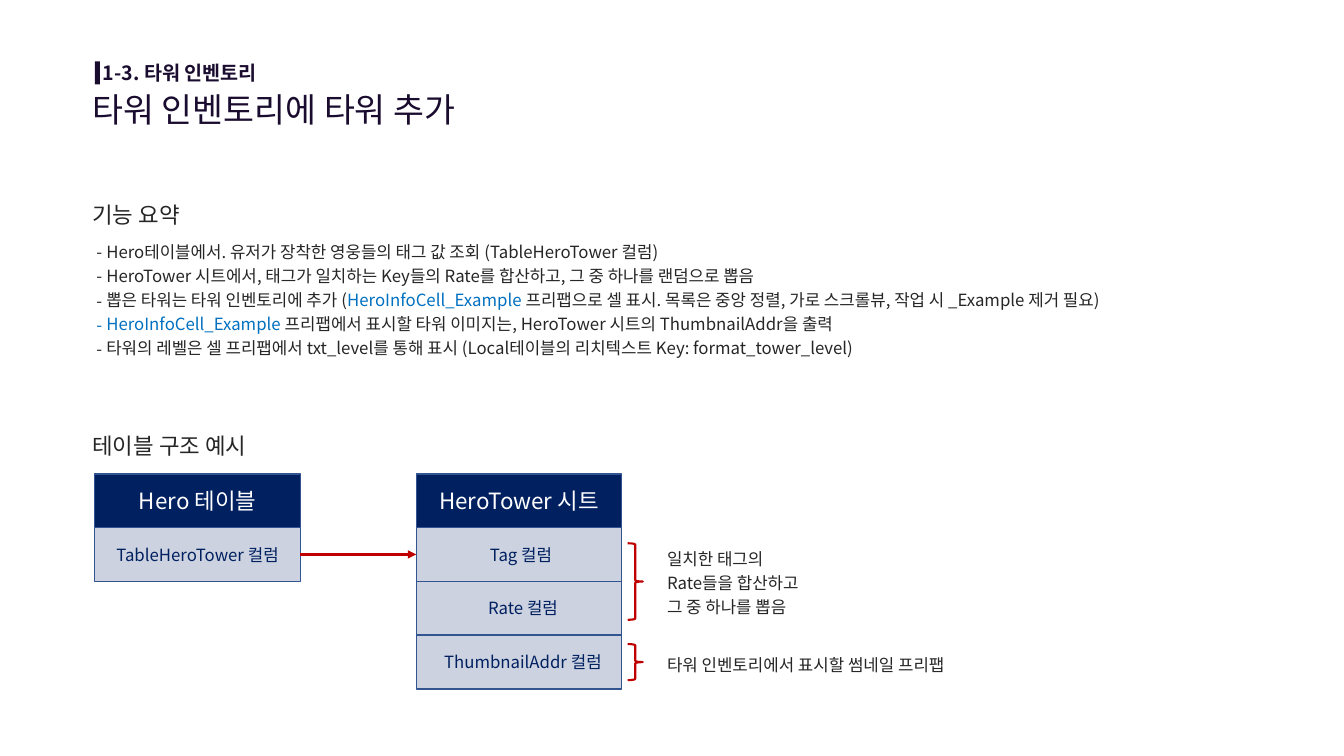
from lxml import etree
from pptx import Presentation
from pptx import util as u
from pptx.dml.color import RGBColor
from pptx.enum import shapes, text
from pptx.oxml.ns import qn

FONT = "Noto Sans CJK KR"
PURPLE, GRAY, BLUE = "1A0C2F", "262626", "0070C0"
NAVY, EDGE, RED, WHITE = "002060", "325491", "C00000", "FFFFFF"


def color(target, value):
    target.rgb = RGBColor.from_string(value)


def write(paragraph, pieces, size, bold=False):
    for words, shade in pieces:
        run = paragraph.add_run()
        run.text = words
        for key, value in {"name": FONT, "size": u.Pt(size), "bold": bold}.items():
            setattr(run.font, key, value)
        color(run.font.color, shade)
        etree.SubElement(run.font._element, qn("a:ea"), typeface=FONT)


prs = Presentation()
prs.slide_width, prs.slide_height = u.Cm(33.87), u.Cm(19.05)
slide = prs.slides.add_slide(prs.slide_layouts[5])
fitted = {
    "word_wrap": False,
    "auto_size": text.MSO_AUTO_SIZE.SHAPE_TO_FIT_TEXT,
    "vertical_anchor": text.MSO_ANCHOR.TOP,
}

accent = slide.shapes.add_shape(
    shapes.MSO_SHAPE.RECTANGLE, u.Cm(2.39), u.Cm(1.55), u.Cm(0.13), u.Cm(0.58))
accent.shadow.inherit = False
accent.fill.solid()
color(accent.fill.fore_color, PURPLE)
accent.line.fill.background()

title = slide.shapes.title
place = {"left": 2.08, "top": 2.11, "width": 10.29, "height": 1.27}
for key, value in place.items():
    setattr(title, key, u.Cm(value))
for key, value in fitted.items():
    setattr(title.text_frame, key, value)
headline = title.text_frame.paragraphs[0]
headline.alignment = text.PP_ALIGN.LEFT
write(headline, [("타워 인벤토리에 타워 추가", PURPLE)], 24)

summary = [
    [("Hero테이블에서. 유저가 장착한 영웅들의 태그 값 조회 (TableHeroTower 컬럼)", GRAY)],
    [("HeroTower 시트에서, 태그가 일치하는 Key들의 Rate를 합산하고, 그 중 하나를 랜덤으로 뽑음", GRAY)],
    [("뽑은 타워는 타워 인벤토리에 추가 (", GRAY), ("HeroInfoCell_Example ", BLUE),
     ("프리팹으로 셀 표시. 목록은 중앙 정렬, 가로 스크롤뷰, 작업 시 _Example 제거 필요)", GRAY)],
    [("HeroInfoCell_Example ", BLUE),
     ("프리팹에서 표시할 타워 이미지는, HeroTower 시트의 ThumbnailAddr을 출력", GRAY)],
    [("타워의 레벨은 셀 프리팹에서 txt_level를 통해 표시 "
      "(Local테이블의 리치텍스트 Key: format_tower_level)", GRAY)],
]
tag_note = [[(line, GRAY)] for line in ("일치한 태그의", "Rate들을 합산하고", "그 중 하나를 뽑음")]
thumbnail_note = [[("타워 인벤토리에서 표시할 썸네일 프리팹", GRAY)]]

passages = [
    (2.34, 1.42, 4.85, 0.86, [[("1-3. 타워 인벤토리", PURPLE)]], 14, True, 1.0),
    (2.08, 4.8, 27.43, 4.32, [[("기능 요약", GRAY)]] + summary, 12, False, 1.2),
    (2.08, 10.64, 4.67, 1.02, [[("테이블 구조 예시", GRAY)]], 16, False, 1.2),
    (16.56, 13.59, 4.01, 2.06, tag_note, 12, False, 1.2),
    (16.56, 16.28, 7.98, 0.81, thumbnail_note, 12, False, 1.2),
]
for left, top, width, height, lines, size, bold, spacing in passages:
    frame = slide.shapes.add_textbox(
        u.Cm(left), u.Cm(top), u.Cm(width), u.Cm(height)).text_frame
    for key, value in fitted.items():
        setattr(frame, key, value)
    for index, pieces in enumerate(lines):
        paragraph = frame.add_paragraph() if index else frame.paragraphs[0]
        paragraph.line_spacing = spacing
        heading = pieces[0][0] == "기능 요약"
        write(paragraph, pieces, 16 if heading else size, bold)
        if heading:
            paragraph.space_after = u.Pt(7)
        elif pieces in summary:
            props = paragraph._p.get_or_add_pPr()
            props.set("marL", str(u.Cm(0.35)))
            props.set("indent", str(-u.Cm(0.25)))
            etree.SubElement(props, qn("a:buFont"), typeface=FONT)
            etree.SubElement(props, qn("a:buChar"), char="-")

ROW, TABLE_TOP = 1.355, 11.94
tables = [
    (2.39, [("Hero 테이블", 0), ("TableHeroTower 컬럼", 0)]),
    (10.49, [("HeroTower 시트", 0), ("Tag 컬럼", 0.1), ("Rate 컬럼", 0.2),
             ("ThumbnailAddr 컬럼", 0.2)]),
]
columns = {}
for left, rows in tables:
    for index, (label, shift) in enumerate(rows):
        cell = slide.shapes.add_shape(
            shapes.MSO_SHAPE.ROUNDED_RECTANGLE, u.Cm(left),
            u.Cm(TABLE_TOP + index * ROW), u.Cm(5.18), u.Cm(ROW))
        cell.adjustments[0] = 0
        cell.shadow.inherit = False
        cell.fill.solid()
        color(cell.fill.fore_color, NAVY)
        color(cell.line.color, EDGE)
        cell.line.width = u.Pt(1)
        if index:
            navy = cell.fill._xPr.find(qn("a:solidFill"))[0]
            etree.SubElement(navy, qn("a:alpha"), val="20000")
        centred = {"word_wrap": False, "vertical_anchor": text.MSO_ANCHOR.MIDDLE,
                   "margin_left": u.Cm(0.25 + shift)}
        for key, value in centred.items():
            setattr(cell.text_frame, key, value)
        paragraph = cell.text_frame.paragraphs[0]
        paragraph.alignment = text.PP_ALIGN.CENTER
        write(paragraph, [(label, NAVY if index else WHITE)], 12 if index else 16)
        columns[label] = cell

lookup = slide.shapes.add_connector(shapes.MSO_CONNECTOR.STRAIGHT, 0, 0, 0, 0)
lookup.begin_connect(columns["TableHeroTower 컬럼"], 3)
lookup.end_connect(columns["Tag 컬럼"], 1)
color(lookup.line.color, RED)
lookup.line.width = u.Pt(1.5)
etree.SubElement(lookup.line._get_or_add_ln(), qn("a:tailEnd"), type="triangle")
etree.SubElement(lookup._element.spPr, qn("a:effectLst"))

for top, height in [(13.69, 1.93), (16.23, 0.91)]:
    brace = slide.shapes.add_shape(
        shapes.MSO_SHAPE.RIGHT_BRACE, u.Cm(15.82), u.Cm(top), u.Cm(0.38), u.Cm(height))
    brace.shadow.inherit = False
    brace.fill.background()
    color(brace.line.color, RED)
    brace.line.width = u.Pt(1.5)

prs.save("out.pptx")
